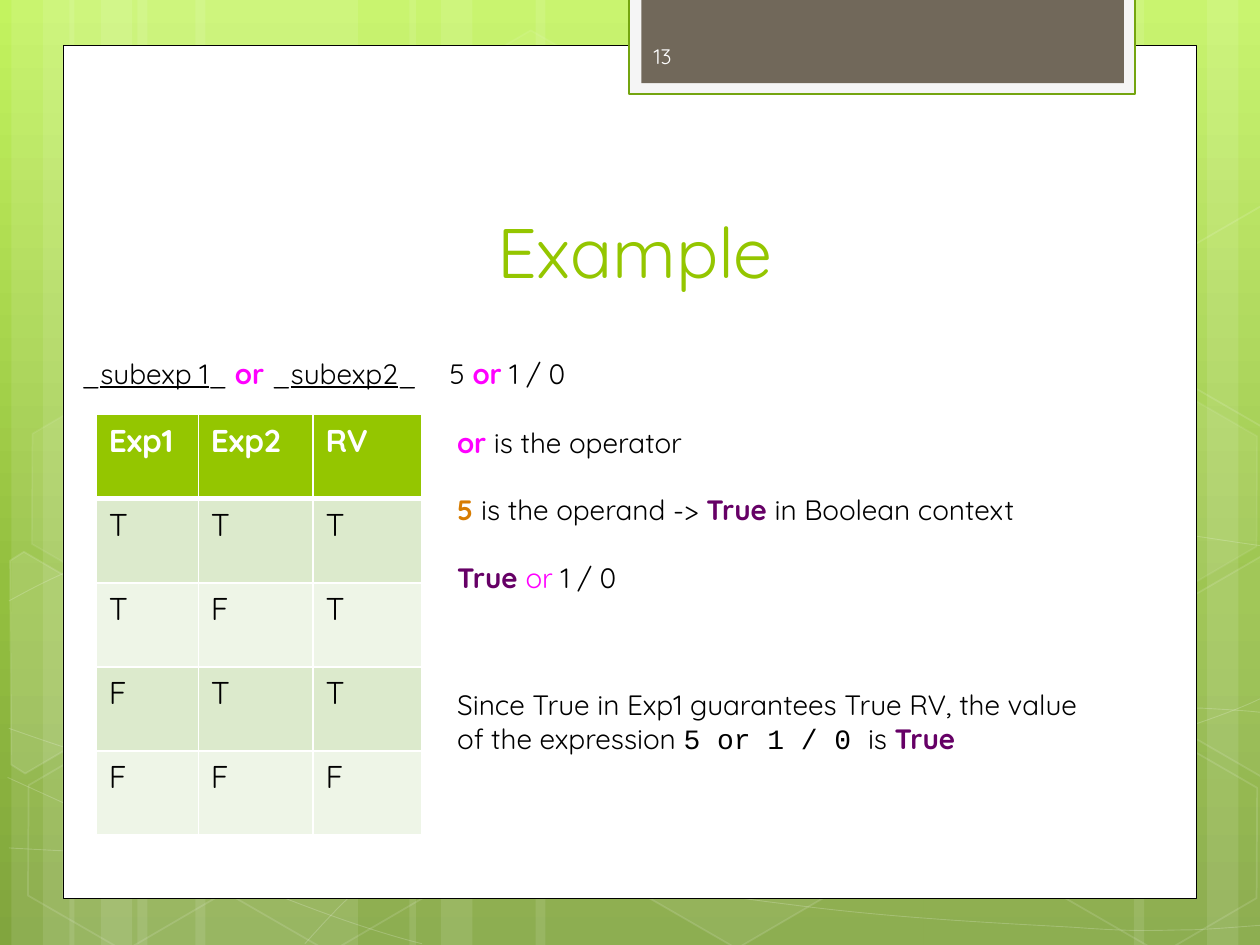
from copy import deepcopy

from lxml.etree import SubElement as Sub
from pptx import Presentation
from pptx.dml.color import RGBColor as Rgb
from pptx.enum.shapes import MSO_SHAPE as Kind
from pptx.enum.text import MSO_ANCHOR as Anchor, PP_ALIGN as Align
from pptx.oxml.ns import qn
from pptx.util import Inches, Pt

HUE = dict(white="FFFFFF", black="000000", top="C3F35F", mid="93BF3F", low="81A53E",
           lime="94C600", edge="74A510", frame="F5F5F5", brown="71685A", page="FEFEFE",
           pink="FF00FF", plum="660066", gold="D77C01", dark="DCEACC", pale="EEF5E7")
FONT = "Quicksand"

# Grid of 100 columns by 75 rows over a slide of 10 by 7.5 inches
COLS, ROWS = 100, 75
deck = Presentation()
deck.slide_width, deck.slide_height = Inches(10), Inches(7.5)
CELL = deck.slide_width / COLS
slide = deck.slides.add_slide(deck.slide_layouts[6])
shapes = slide.shapes


def emu(*cells):
    return [round(c * CELL) for c in cells]


def part(box, x, y, w, h):
    """Place a part given in cells from the corner of its box."""
    return box[0] + x, box[1] + y, w, h


def rgb(name):
    return Rgb.from_string(HUE[name])


def fade(node, share):
    if share < 100:
        Sub(node.find(qn("a:srgbClr")), qn("a:alpha"), val=str(share * 1000))


def paint(shape, fill=None, alpha=100, line=None, width=1, clear=100):
    shape.shadow.inherit = False
    props = shape.element.spPr
    if fill:
        shape.fill.solid()
        shape.fill.fore_color.rgb = rgb(fill)
        fade(props.find(qn("a:solidFill")), alpha)
    else:
        shape.fill.background()
    if line:
        shape.line.color.rgb = rgb(line)
        shape.line.width = Pt(width)
        fade(props.find(qn("a:ln")).find(qn("a:solidFill")), clear)
    else:
        shape.line.fill.background()
    return shape


def block(area, kind=Kind.RECTANGLE, **look):
    return paint(shapes.add_shape(kind, *emu(*area)), **look)


def trace(points, close, **look):
    first, *rest = [emu(*p) for p in points]
    path = shapes.build_freeform(*first, scale=1.0)
    path.add_line_segments(rest, close=close)
    return paint(path.convert_to_shape(), **look)


def sweep(nums, **look):
    """Draw a chain of cubic curves given as flat x, y numbers."""
    shape = trace(zip(nums[::2], nums[1::2]), False, **look)
    legs = list(shape.element.iter(qn("a:lnTo")))
    for i in range(0, len(legs), 3):
        curve = Sub(legs[i].getparent(), qn("a:cubicBezTo"))
        for leg in legs[i:i + 3]:
            curve.append(leg[0])
            leg.getparent().remove(leg)


def write(frame, runs, size=16, color="black", bold=False, align=None, anchor=None):
    """Fill a frame with runs: plain text, or (text, format) pairs."""
    frame.word_wrap = True
    if anchor is not None:
        frame.vertical_anchor = anchor
    para = frame.paragraphs[0]
    para.alignment = align
    for item in runs:
        text, own = (item, {}) if isinstance(item, str) else item
        run = para.add_run()
        run.text = text
        font = run.font
        font.name, font.size = own.get("font", FONT), Pt(size)
        font.bold = own.get("bold", bold)
        font.underline = own.get("under")
        font.color.rgb = rgb(own.get("color", color))


def label(area, runs, **look):
    write(shapes.add_textbox(*emu(*area)).text_frame, runs, **look)


def strong(text, color):
    return text, dict(color=color, bold=True)


def backdrop(box):
    fill = slide.background.fill
    fill.gradient()
    fill.gradient_angle = 270
    stops = slide.element.find(".//" + qn("a:gsLst"))
    stops.insert(1, deepcopy(stops[0]))
    for stop, name, pos in zip(fill.gradient_stops, ("top", "mid", "low"), (0, .62, 1)):
        stop.color.rgb, stop.position = rgb(name), pos
    # Pale vertical bands
    for x, w in ((10.9, 17.5), (.9, 5), (3.4, 8.3), (15.5, 17.5), (5.5, 5), (8, 8.3),
                 (73.3, 17.5), (95.8, 5), (90, 8.3), (42.5, 30.8), (32.5, 5), (35, 8.3)):
        block(part(box, x, 0, w, box[3]), fill="white", alpha=10)
    # Sweeping curves
    for nums in (
        (.7, 67.3, 6.1, 67.6, 11.5, 67.9, 19, 67.8, 26.5, 67.7, 35.8, 67.5, 45.8, 66.5,
         55.8, 65.5, 70, 63.6, 79.2, 61.7, 88.3, 59.8, 97.7, 56.8, 100.7, 55.1),
        (.7, 47.7, 3.6, 46.1, 6.5, 44.6, 12.1, 43.1, 17.8, 41.6, 25.9, 39.4, 34.7, 38.7,
         43.6, 38, 54.4, 37.9, 65.4, 38.7, 76.4, 39.5, 94.7, 42.6, 100.7, 43.4),
        (.6, 61.7, 12.7, 67.2, 24.7, 72.7, 33.5, 74.9),
        (.7, 57.8, 3.8, 58.9, 7, 60, 12.8, 61.6, 18.6, 63.1, 27.3, 65.6, 35.7, 67.3,
         44, 69, 54.5, 70.8, 62.8, 71.8, 71.1, 72.9, 80, 73.3, 85.3, 73.6,
         90.6, 74, 91.9, 73.8, 94.5, 73.8, 97.1, 73.7, 98.9, 73.5, 100.7, 73.4),
        (24.2, 74.9, 26, 72.9, 27.8, 70.9, 30.2, 69.1, 32.6, 67.2, 36, 65.3, 38.8, 63.9,
         41.6, 62.5, 43.3, 61.9, 46.9, 60.9, 50.6, 59.9, 57.3, 58.5, 60.8, 57.8,
         64.4, 57.1, 64.9, 57.1, 68, 56.9, 71.1, 56.6, 76, 56.3, 79.4, 56.2,
         82.9, 56.1, 88.6, 56.2, 88.6, 56.2, 90.8, 56.2, 93.1, 56.2, 95.3, 56.2,
         97.1, 56.3, 98.8, 56.4, 99.7, 56.5, 100.6, 56.6, 100.3, 56.5, 100.6, 56.6),
    ):
        sweep(nums, line="white", width=.5, clear=20)
    # Hexagons, whole and cut by the edge
    for x, y, alpha, clear in (
            (33.4, 3.6, 4, 8), (49.7, 58.9, 6, 12), (1.1, 59.1, 0, 12),
            (1.4, 31.2, 7, 8), (17.4, 59.2, 0, 12), (75.3, 45.3, 10, 12),
            (83.4, 59.3, 0, 12), (83.4, 31.4, 7, 8)):
        hexa = block(part(box, x, y, 17.5, 15.2), Kind.HEXAGON, line="white", clear=clear,
                     fill="white" if alpha else None, alpha=alpha)
        hexa.rotation = 30
        hexa.adjustments[0], hexa.adjustments[1] = .285, 1.155
    left = (.8, 44.5), (1.9, 43.8), (9.6, 48.3), (9.5, 57), (2, 61.4), (.9, 60.7)
    trace(left, True, fill="white", alpha=10, line="white", clear=12)
    right = (92.6, 20.7), (100.2, 16.3), (101, 16.8), (100.9, 33.5), (100.2, 33.9), (92.6, 29.5)
    trace([(x, y + 27.8) for x, y in right], True, fill="white", alpha=4,
          line="white", clear=12)
    trace(right, True, line="white", clear=12)


def panel(box):
    block(box, fill="white", line="black", width=.5)


def tab(box):
    block(box, fill="frame", line="edge", width=1.25)
    block(part(box, 1, 0, 38.3, 6.8), fill="brown")
    label(part(box, 1, 2.65, 14.6, 4), ["13"], size=12, color="page", anchor=Anchor.MIDDLE)


def truth(box):
    """Truth table: a header and one row for each pair of values."""
    rows = [("Exp1", "Exp2", "RV"), *"TTT TFT FTT FFF".split()]
    table = shapes.add_table(len(rows), 3, *emu(*box)).table
    table.first_row = table.horz_banding = False
    for col, wide in zip(table.columns, emu(8.1, 9.1, 8.6)):
        col.width = wide
    for r, row in enumerate(rows):
        table.rows[r].height = round(box[3] * CELL / len(rows))
        for c, text in enumerate(row):
            cell = table.cell(r, c)
            for side in "LRTB":
                thick = 3 if (r, side) in ((0, "B"), (1, "T")) else 1
                line = Sub(cell._tc.get_or_add_tcPr(), qn("a:ln" + side), w=str(Pt(thick)))
                Sub(Sub(line, qn("a:solidFill")), qn("a:srgbClr"), val=HUE["white"])
            cell.fill.solid()
            cell.fill.fore_color.rgb = rgb(("pale", "dark")[r % 2] if r else "lime")
            write(cell.text_frame, [text], size=18, bold=r == 0,
                  color="black" if r else "white")


def steps(box):
    """Worked example, one line of reasoning after another."""
    under = dict(under=True)
    label(part(box, 0, 0, 29.5, 3.7), ["_", ("subexp 1", under), "_ ", strong("or ", "pink"),
                                       "_", ("subexp2", under), "_"])
    for x, y, w, h, runs in (
        (29.2, 0, 31, 3.7, ["5 ", strong("or", "pink"), " 1 / 0"]),
        (29.8, 5.5, 31, 3.7, [strong("or", "pink"), " is the operator"]),
        (29.8, 10.8, 51.2, 3.7, [strong("5 ", "gold"), "is the operand -> ",
                                 strong("True", "plum"), " in Boolean context"]),
        (29.8, 16.2, 51.2, 3.7, [strong("True ", "plum"), ("or ", dict(color="pink")), "1 / 0"]),
        (29.8, 26.3, 51.2, 6.4, [
            "Since True in Exp1 guarantees True RV, the value of the expression ",
            ("5 or 1 / 0 ", dict(font="Courier New")), "is ", strong("True", "plum")]),
    ):
        label(part(box, x, y, w, h), runs)


backdrop((0, 0, COLS, ROWS))
panel((5, 3.6, 90, 67.7))
tab((49.9, -.2, 40.2, 7.7))
label((5.2, 11.2, 90.4, 12.5), ["Example"], size=40, color="lime",
      align=Align.CENTER, anchor=Anchor.BOTTOM)
truth((7.64, 32.9, 25.8, 33.4))
steps((5.5, 27.8, 81, 32.7))
deck.save("out.pptx")
